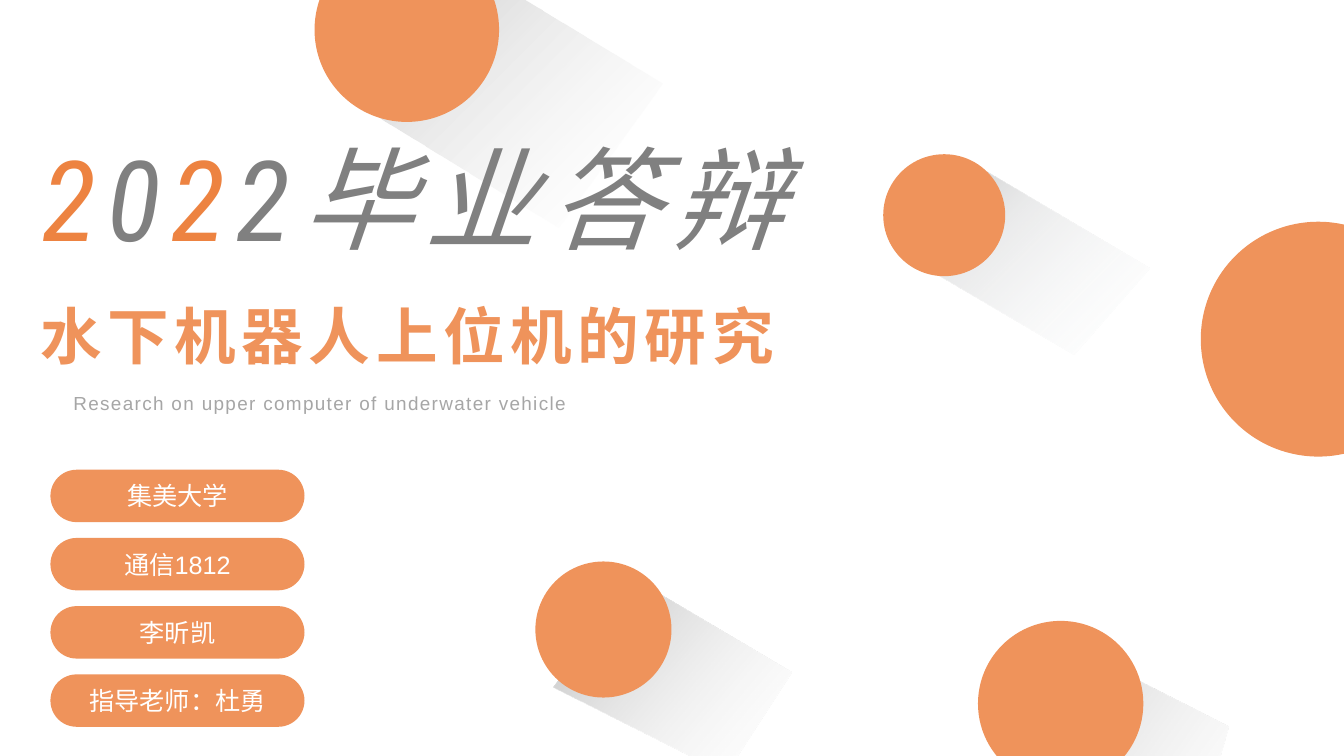
from lxml import etree
from pptx import Presentation
from pptx.dml.color import RGBColor
from pptx.enum.shapes import MSO_SHAPE
from pptx.enum.text import MSO_ANCHOR, MSO_AUTO_SIZE, PP_ALIGN
from pptx.oxml.ns import qn
from pptx.util import Inches, Pt

OVAL = MSO_SHAPE.OVAL
PILL = MSO_SHAPE.ROUNDED_RECTANGLE
MIDDLE = MSO_ANCHOR.MIDDLE
GROW = MSO_AUTO_SIZE.SHAPE_TO_FIT_TEXT
CENTER = PP_ALIGN.CENTER

ORANGE, BRIGHT_ORANGE = "EF935B", "ED8341"
GRAY, LIGHT_GRAY, WHITE = "808080", "A6A6A6", "FFFFFF"
SOFT_FADE = [(0, "F7FAFD", 0), (63, "CCCDCE", 40), (100, "BFBFBF", 100)]
WIDE_FADE = [(0, WHITE, 0), (100, "BFBFBF", 100)]
SHORT_FADE = [(0, WHITE, 0), (92, "BFBFBF", 100)]

BALLS = [
    ((8.76, 1.53), 1.21, [(8.88, 2.48), (9.73, 1.67), (11.4, 2.66), (10.65, 3.52)], 0, SOFT_FADE),
    ((3.12, -0.62), 1.83, [(3.39, 0.94), (4.5, -0.43), (6.57, 0.83), (5.54, 2.26)], 0, WIDE_FADE),
    ((5.31, 5.57), 1.35, [(5.49, 6.72), (6.38, 5.72), (7.85, 6.76), (7.12, 7.71)], 355.4, SHORT_FADE),
    ((9.7, 6.16), 1.64, [(9.98, 7.51), (10.68, 6.26), (12.2, 7.4), (11.64, 8.57)], 350.1, SHORT_FADE),
]
DETAILS = ["集美大学", "通信1812", "李昕凯", "指导老师：杜勇"]


def color(value):
    """Turn a hex string into a colour."""
    return RGBColor.from_string(value)


def add_run(paragraph, text, size, tint, font="Arial", spacing=0, bold=False, italic=False):
    """Append one formatted run, with letter spacing in points."""
    run = paragraph.add_run()
    run.text = text
    run.font.name = font
    run.font.size = Pt(size)
    run.font.bold = bold
    run.font.italic = italic
    run.font.color.rgb = color(tint)
    if spacing:
        run._r.get_or_add_rPr().set("spc", str(spacing * 100))


def add_solid(slide, kind, left, top, width, height):
    """Add an orange preset shape without outline."""
    shape = slide.shapes.add_shape(kind, Inches(left), Inches(top), Inches(width), Inches(height))
    shape.shadow.inherit = False
    shape.fill.solid()
    shape.fill.fore_color.rgb = color(ORANGE)
    shape.line.fill.background()
    return shape


def add_cast_shadow(slide, corners, rotation, fade):
    """Draw a long shadow that fades towards the lower right."""
    points = [(Inches(x), Inches(y)) for x, y in corners]
    builder = slide.shapes.build_freeform(*points[0])
    builder.add_line_segments(points[1:], close=True)
    shadow = builder.convert_to_shape()
    shadow.rotation = rotation
    shadow.shadow.inherit = False
    shadow.line.fill.background()
    shadow.fill.gradient()
    shadow.fill.gradient_angle = 135
    stops = shadow._element.spPr.find(".//" + qn("a:gsLst"))
    for stop in list(stops):
        stops.remove(stop)
    for position, tint, opacity in fade:
        stop = etree.SubElement(stops, qn("a:gs"), pos=str(position * 1000))
        shade = etree.SubElement(stop, qn("a:srgbClr"), val=tint)
        etree.SubElement(shade, qn("a:alpha"), val=str(opacity * 1000))


def add_balls(slide):
    """Place the orange balls, each over its long shadow."""
    add_solid(slide, OVAL, 11.91, 2.2, 2.33, 2.33)
    for (left, top), diameter, corners, rotation, fade in BALLS:
        add_cast_shadow(slide, corners, rotation, fade)
        add_solid(slide, OVAL, left, top, diameter, diameter)


def add_line(slide, left, top, width, height):
    """Add a wrapping text box and return its paragraph."""
    box = slide.shapes.add_textbox(Inches(left), Inches(top), Inches(width), Inches(height))
    box.text_frame.word_wrap = True
    box.text_frame.auto_size = GROW
    return box.text_frame.paragraphs[0]


def add_headings(slide, left, top):
    """Stack the heading, the topic and its translation."""
    heading = add_line(slide, left + 0.02, top, 8.41, 1.45)
    for text, tint in [("2", BRIGHT_ORANGE), ("0", GRAY), ("2", BRIGHT_ORANGE), ("2毕业答辩", GRAY)]:
        add_run(heading, text, 80, tint, "Roboto Condensed", 8, italic=True)
    topic = add_line(slide, left, top + 1.67, 10.02, 0.84)
    add_run(topic, "水下机器人上位机的研究", 44, ORANGE, spacing=4, bold=True)
    translation = add_line(slide, left + 0.33, top + 2.57, 6.92, 0.33)
    translation.line_spacing = Pt(18)
    add_run(translation, "Research on upper computer of underwater vehicle", 13.5, LIGHT_GRAY, spacing=1)


def add_details(slide, left, top, width, height):
    """Spread the detail pills evenly down the given box."""
    pill_height = 0.52
    pitch = (height - pill_height) / (len(DETAILS) - 1)
    for row, detail in enumerate(DETAILS):
        pill = add_solid(slide, PILL, left, top + row * pitch, width, pill_height)
        pill.adjustments[0] = 0.5
        pill.text_frame.vertical_anchor = MIDDLE
        paragraph = pill.text_frame.paragraphs[0]
        paragraph.alignment = CENTER
        add_run(paragraph, detail, 18, WHITE)


def main():
    """Build the cover slide and save it."""
    deck = Presentation()
    deck.slide_width, deck.slide_height = Inches(13.33), Inches(7.5)
    cover = deck.slides.add_slide(deck.slide_layouts[6])
    cover.background.fill.solid()
    cover.background.fill.fore_color.rgb = color(WHITE)
    add_balls(cover)
    add_headings(cover, 0.3, 1.24)
    add_details(cover, 0.5, 4.66, 2.52, 2.55)
    deck.save("out.pptx")


if __name__ == "__main__":
    main()
